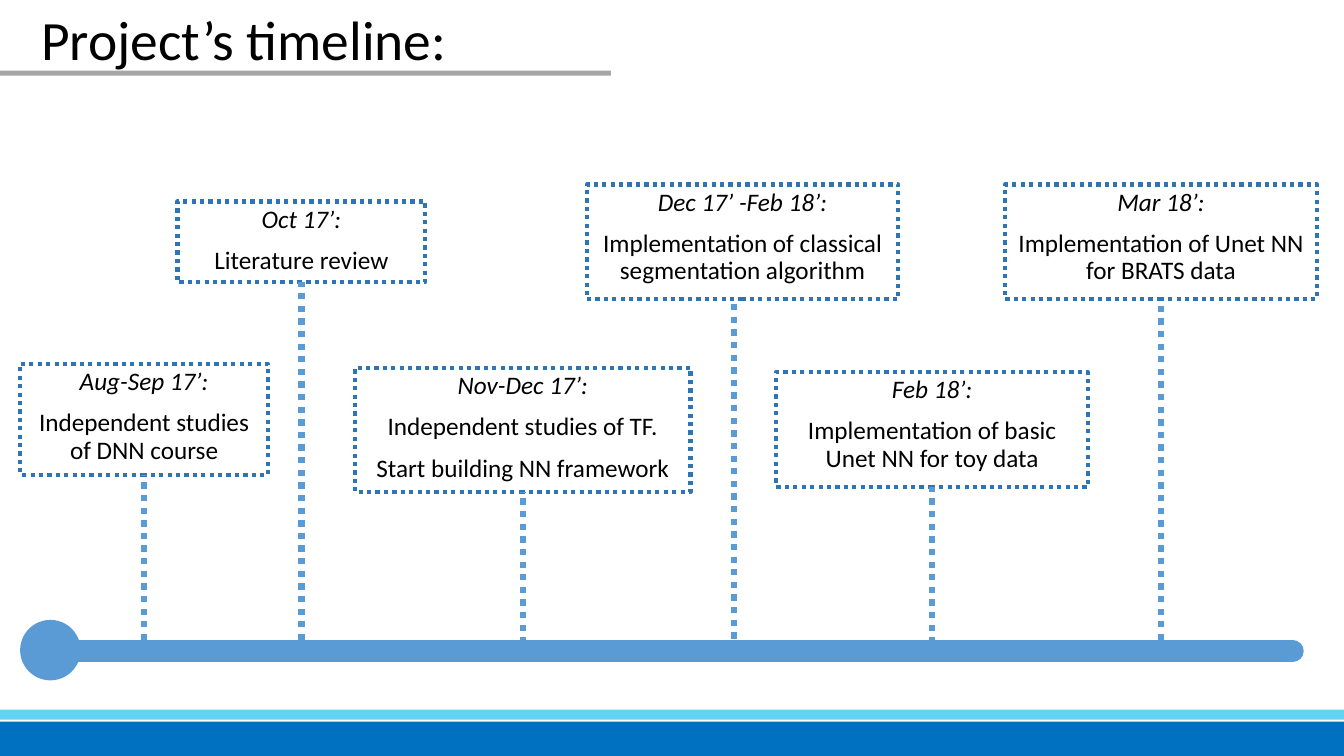
from dataclasses import dataclass

from lxml import etree
from pptx import Presentation
from pptx import util as u
from pptx.dml.color import RGBColor
from pptx.enum import dml, shapes, text
from pptx.oxml import ns


@dataclass(frozen=True)
class Theme:
    font: str = "Calibri"
    ink: str = "000000"
    accent: str = "5B9BD5"
    border: str = "2E75B6"
    footer: str = "0070C0"
    footer_stripe: str = "64D3F3"
    rule: str = "A5A5A5"
    title_size: float = 39.6
    body_size: float = 18


def write(frame, content, theme, size, align=None, italic=False, space_before=0, first=False):
    paragraph = frame.paragraphs[0] if first else frame.add_paragraph()
    paragraph.alignment = align
    paragraph.line_spacing = 0.9
    paragraph.space_before = u.Pt(space_before)
    run = paragraph.add_run()
    run.text = content
    run.font.name = theme.font
    run.font.size = u.Pt(size)
    run.font.italic = italic
    run.font.color.rgb = RGBColor.from_string(theme.ink)


class TimelineSlide:
    def __init__(self, slide, theme):
        self.slide = slide
        self.theme = theme

    def title(self, content, left, top, width, height):
        box = self.slide.shapes.add_textbox(*map(u.Inches, (left, top, width, height)))
        box.text_frame.word_wrap = True
        box.text_frame.vertical_anchor = text.MSO_ANCHOR.MIDDLE
        write(box.text_frame, content, self.theme, self.theme.title_size, first=True)

    def shape(self, kind, left, top, width, height, fill=None):
        shape = self.slide.shapes.add_shape(kind, *map(u.Inches, (left, top, width, height)))
        shape.shadow.inherit = False
        if fill:
            shape.fill.solid()
            shape.fill.fore_color.rgb = RGBColor.from_string(fill)
        else:
            shape.fill.background()
        shape.line.fill.background()
        return shape

    def bar(self, left, top, width, height, fill):
        return self.shape(shapes.MSO_SHAPE.RECTANGLE, left, top, width, height, fill)

    def stroke(self, line, color, weight, dotted=False):
        line.color.rgb = RGBColor.from_string(color)
        line.width = u.Pt(weight)
        if dotted:
            line.dash_style = dml.MSO_LINE.ROUND_DOT

    def line(self, start, end, weight, dotted=False):
        connector = self.slide.shapes.add_connector(
            shapes.MSO_CONNECTOR.STRAIGHT, *map(u.Inches, (*start, *end)))
        self.stroke(connector.line, self.theme.accent, weight, dotted)
        etree.SubElement(connector._element.spPr, ns.qn("a:effectLst"))
        return connector

    def axis(self, left, right, y):
        self.shape(shapes.MSO_SHAPE.OVAL, 0.2, 6.15, 0.6, 0.6, self.theme.accent)
        axis = self.line((left, y), (right, y), 16)
        axis.line._get_or_add_ln().set("cap", "rnd")

    def milestone(self, date, tasks, left, top, width, height, stem_start, stem_x=None):
        box = self.shape(shapes.MSO_SHAPE.RECTANGLE, left, top, width, height)
        self.stroke(box.line, self.theme.border, 3, dotted=True)
        frame = box.text_frame
        frame.word_wrap = True
        frame.vertical_anchor = text.MSO_ANCHOR.TOP
        for index, content in enumerate([date, *tasks]):
            write(frame, content, self.theme, self.theme.body_size,
                  align=text.PP_ALIGN.CENTER, italic=index == 0,
                  space_before=10, first=index == 0)
        x = stem_x or left + width / 2
        stem = self.line((x, stem_start), (x, top + height), 4.5, dotted=True)
        if stem_x is None:
            stem.end_connect(box, 2)


MILESTONES = [
    ("Aug-Sep 17’:", ["Independent studies of DNN course"], 0.2, 3.61, 2.46, 1.1, 6.35),
    ("Oct 17’:", ["Literature review"], 1.76, 2, 2.46, 0.8, 6.35),
    ("Nov-Dec 17’:", ["Independent studies of TF.", "Start building NN framework"],
     3.52, 3.65, 3.33, 1.23, 6.51),
    ("Dec 17’ -Feb 18’:", ["Implementation of classical segmentation algorithm"],
     5.82, 1.83, 3.09, 1.14, 6.46, 7.28),
    ("Feb 18’:", ["Implementation of basic Unet NN for toy data"],
     7.7, 3.69, 3.09, 1.14, 6.51),
    ("Mar 18’:", ["Implementation of Unet NN for BRATS data"],
     9.97, 1.83, 3.09, 1.14, 6.35),
]


def main():
    presentation = Presentation()
    presentation.slide_width = u.Inches(13.33)
    presentation.slide_height = u.Inches(7.5)
    theme = Theme()
    timeline = TimelineSlide(
        presentation.slides.add_slide(presentation.slide_layouts[6]), theme)

    timeline.title("Project’s timeline:", 0.31, 0.11, 11.5, 0.62)
    timeline.bar(0, 7.16, 13.33, 0.34, theme.footer)
    timeline.bar(0, 7.04, 13.33, 0.1, theme.footer_stripe)
    timeline.bar(0, 0.7, 6.06, 0.05, theme.rule)
    timeline.axis(0.58, 12.82, 6.46)
    for milestone in MILESTONES:
        timeline.milestone(*milestone)

    presentation.save("out.pptx")


if __name__ == "__main__":
    main()
